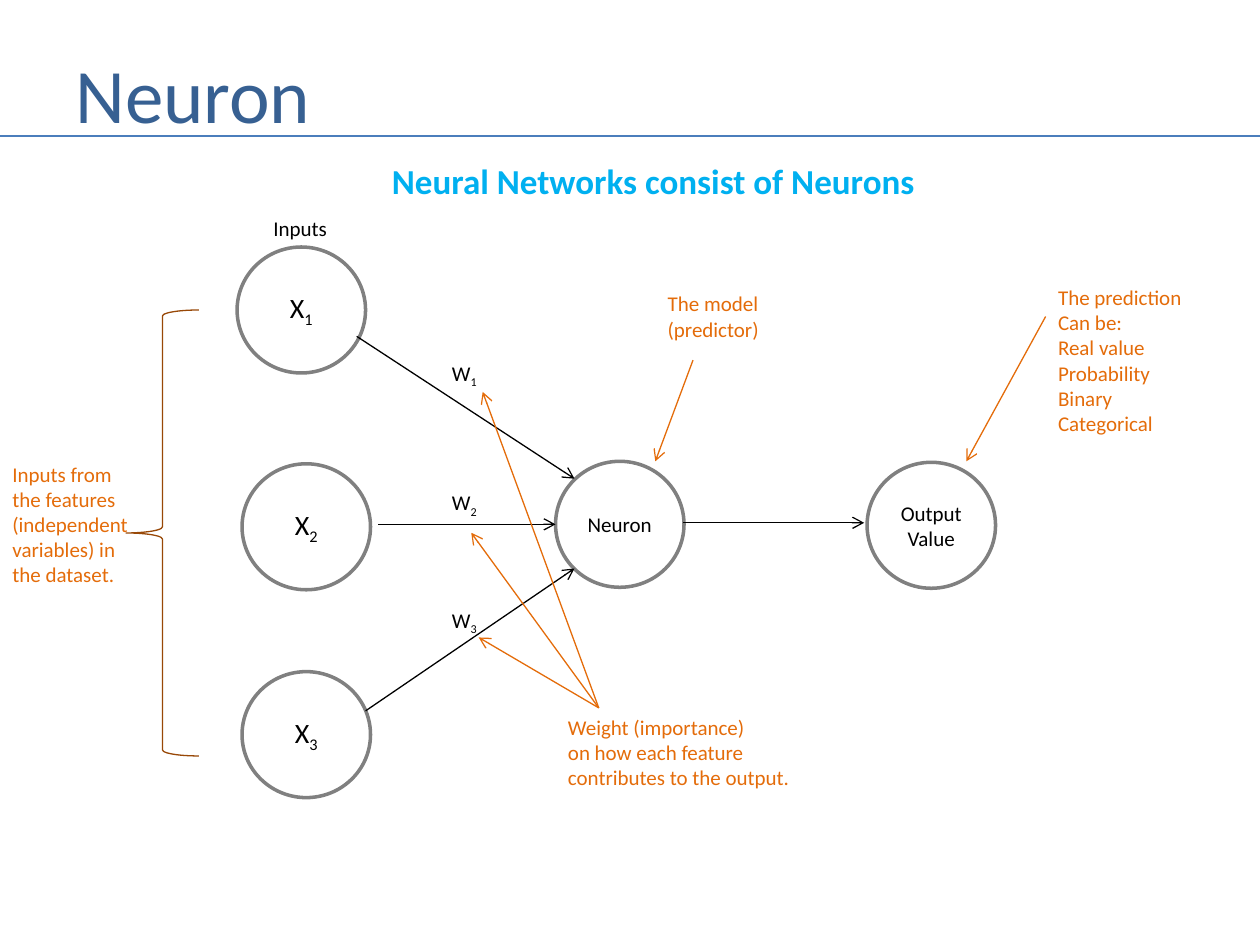
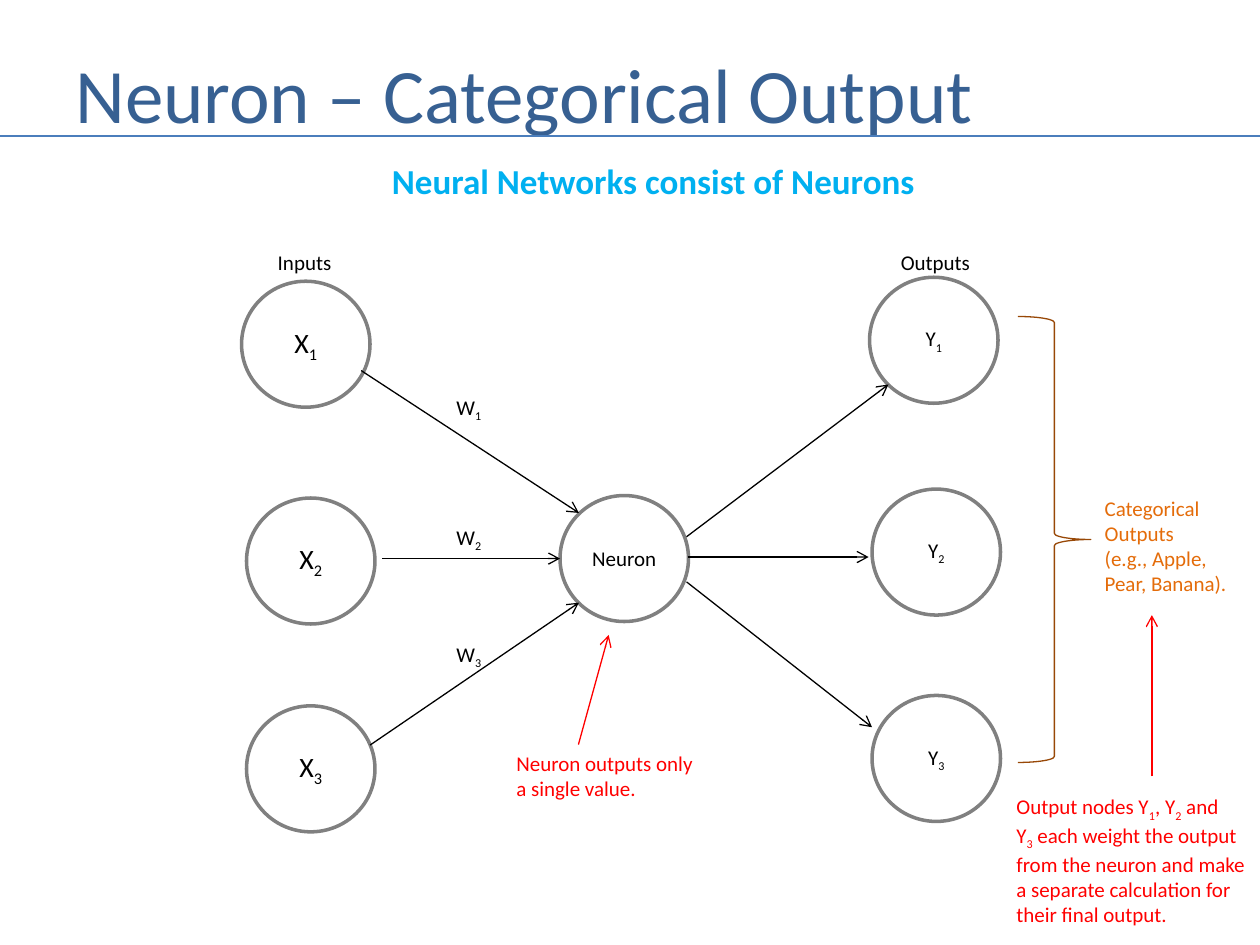
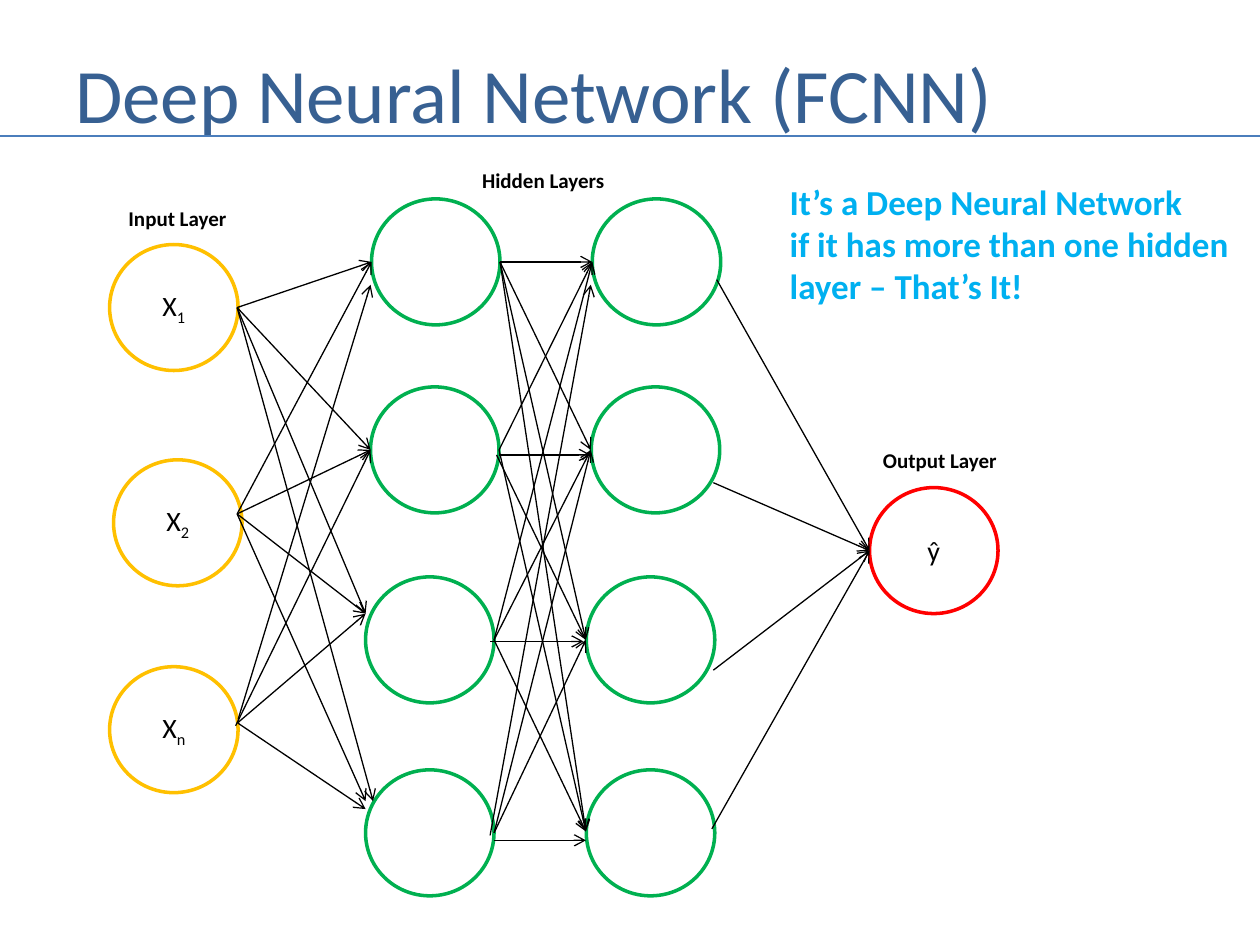
from itertools import product

from lxml import etree
from pptx import Presentation
from pptx import util as u
from pptx.dml.color import RGBColor
from pptx.enum import shapes, text
from pptx.oxml import ns

# ---- Content (positions in cm) ----
COLORS = dict(title="376092", rule="4B7EBC", heading="00B0F0", black="000000",
              white="FFFFFF", node="808080", brace="984807", note="E46C0A",
              alert="FF0000", input="FFC000", hidden="00B050")
STYLES = {
    "title": dict(size=44, color="title"),
    "heading": dict(size=20, color="heading", bold=True),
    "label": dict(size=12, color="black"),
    "layer": dict(size=12, color="black", bold=True),
    "symbol": dict(size=16, color="black"),
    "note": dict(size=12, color="note"),
    "alert": dict(size=12, color="alert"),
}
NODE_W, NODE_H = 2.59, 2.54
BRACE_W, BRACE_H = 1.47, 8.99

# Neuron with three weighted inputs, shared by the first two slides
# Nodes: x, y, text, text style; labels: x, y, width, text, style
NET_NODES = [(4.78, 4.98, "X_1", "symbol"), (4.88, 9.35, "X_2", "symbol"),
             (4.88, 13.54, "X_3", "symbol"), (11.2, 9.3, "Neuron", "label")]
NET_ARROWS = [((7.19, 6.78), (11.58, 9.65)), ((7.62, 10.57), (11.2, 10.57)),
              ((7.37, 14.33), (11.58, 11.46)), ((13.77, 10.54), (17.42, 10.54))]
NET_LABELS = [(5.26, 4.22, 1.6, "Inputs", "label"),
              (8.86, 7.14, 1.04, "W_1", "label"),
              (8.86, 9.75, 1.04, "W_2", "label"),
              (8.86, 12.12, 1.04, "W_3", "label")]
NET_HEADING = (7.65, 3.1, 11.15, "Neural Networks consist of Neurons", "heading")

NEURON_SLIDES = [
    dict(title="Neuron", shift=(0, 0),
         nodes=[(17.48, 9.32, "Output\nValue", "label")],
         brace=(2.54, 6.25, 0),
         labels=[
             (0, 9.17, 2.84, "Inputs from\nthe features\n(independent\n"
              "variables) in\nthe dataset.", "note"),
             (11.2, 14.27, 5.05, "Weight (importance)\non how each feature\n"
              "contributes to the output.", "note"),
             (13.21, 5.74, 2.36, "The model\n(predictor)", "note"),
             (21.08, 5.61, 3.02, "The prediction\nCan be:\nReal value\n"
              "Probability\nBinary\nCategorical", "note")],
         arrows=[((12.07, 14.27), (9.73, 7.9), "note"),
                 ((12.07, 14.27), (9.5, 10.74), "note"),
                 ((12.07, 14.27), (9.65, 12.85), "note"),
                 ((13.97, 7.26), (13.21, 9.3), "note"),
                 ((21.08, 6.38), (19.48, 9.3), "note")]),
    dict(title="Neuron – Categorical Output", shift=(0.09, 0.69),
         nodes=[(17.53, 5.59, "Y_1", "label"), (17.58, 9.86, "Y_2", "label"),
                (17.58, 14.02, "Y_3", "label")],
         brace=(20.52, 6.38, 180),
         labels=[
             (17.91, 4.9, 1.93, "Outputs", "label"),
             (22.02, 9.86, 3.0, "Categorical\nOutputs\n(e.g., Apple,\n"
              "Pear, Banana).", "note"),
             (10.16, 15.01, 4.09, "Neuron outputs only\na single value.", "alert"),
             (20.24, 15.88, 5.23, "Output nodes Y_1, Y_2 and\n"
              "Y_3 each weight the output\nfrom the neuron and make\n"
              "a separate calculation for\ntheir final output.", "alert")],
         arrows=[((13.84, 10.82), (17.91, 7.75), "black"),
                 ((13.84, 11.73), (17.58, 14.66), "black"),
                 ((11.66, 15.01), (12.27, 12.8), "alert"),
                 ((23.22, 15.65), (23.22, 12.4), "alert")]),
]

# Deep network: node positions per layer
DEEP_TITLE = "Deep Neural Network (FCNN)"
INPUTS = [(2.21, 4.93, "X_1"), (2.29, 9.27, "X_2"), (2.21, 13.44, "X_n")]
HIDDEN = [(7.49, 4.01), (7.47, 7.8), (7.37, 11.63), (7.37, 15.52)]
HIDDEN_GAP = 4.45
OUTPUT = (17.53, 9.83, "ŷ")
DEEP_LABELS = [
    (2.34, 4.01, 2.51, "Input Layer", "layer"),
    (9.47, 3.25, 3.0, "Hidden Layers", "layer"),
    (17.55, 8.89, 2.84, "Output Layer", "layer"),
    (15.67, 3.51, 9.45, "It’s a Deep Neural Network\n"
     "if it has more than one hidden\nlayer – That’s It!", "heading")]
# Full connections: starts, ends, and the edges that sit slightly apart
CONNECTIONS = [
    ([(4.78, 6.2), (4.78, 10.36), (4.78, 14.58)],
     [(7.49, 5.28), (7.47, 9.07), (7.37, 12.37), (7.37, 16.15)],
     {(0, 3): ((4.78, 6.2), (7.52, 16.15)),
      (2, 0): ((4.8, 14.5), (7.47, 5.74)),
      (2, 1): ((4.75, 14.63), (7.47, 9.07)),
      (2, 3): ((4.8, 14.58), (7.37, 16.31))}),
    ([(10.08, 5.28), (10.06, 9.07), (9.96, 12.9), (9.96, 16.79)],
     [(11.94, 5.28), (11.91, 9.07), (11.81, 12.9), (11.81, 16.76)],
     {(1, 1): ((10.06, 9.17), (11.91, 9.17)),
      (1, 2): ((10.01, 9.17), (11.81, 12.9)),
      (2, 2): ((9.88, 12.93), (11.76, 12.93)),
      (3, 0): ((9.88, 16.84), (11.91, 5.74)),
      (3, 3): ((9.96, 16.94), (11.81, 16.94))}),
    ([(14.45, 5.64), (14.38, 9.73), (14.38, 13.51), (14.35, 16.71)],
     [(17.53, 11.1)], {}),
]


# ---- Drawing helpers ----
def rgb(name):
    return RGBColor.from_string(COLORS[name])


def write(tf, content, style, align=None):
    """Fill a frame, one paragraph a line; _ makes the next letter a subscript."""
    fmt = dict(STYLES[style], name="Calibri")
    fmt["size"] = u.Pt(fmt["size"])
    color = fmt.pop("color")
    for i, line in enumerate(content.split("\n")):
        p = tf.paragraphs[0] if i == 0 else tf.add_paragraph()
        p.alignment = align
        first, *rest = line.split("_")
        pieces = [(first, False)]
        for part in rest:
            pieces += [(part[0], True), (part[1:], False)]
        for piece, subscript in pieces:
            if not piece:
                continue
            r = p.add_run()
            r.text = piece
            for key, value in fmt.items():
                setattr(r.font, key, value)
            r.font.color.rgb = rgb(color)
            if subscript:
                r.font._element.set("baseline", "-25000")


def add_label(s, x, y, w, content, style):
    lines = content.count("\n") + 1
    h = 0.26 + 0.0427 * STYLES[style]["size"] * lines
    tf = s.shapes.add_textbox(u.Cm(x), u.Cm(y), u.Cm(w), u.Cm(h)).text_frame
    tf.word_wrap = False
    tf.auto_size = text.MSO_AUTO_SIZE.SHAPE_TO_FIT_TEXT
    write(tf, content, style)


def add_node(s, x, y, content="", style="symbol", outline="node"):
    sp = s.shapes.add_shape(shapes.MSO_SHAPE.OVAL, u.Cm(x), u.Cm(y),
                            u.Cm(NODE_W), u.Cm(NODE_H))
    sp.shadow.inherit = False
    sp.fill.solid()
    sp.fill.fore_color.rgb = rgb("white")
    sp.line.color.rgb = rgb(outline)
    sp.line.width = u.Pt(2)
    tf = sp.text_frame
    for side in ("left", "right", "top", "bottom"):
        setattr(tf, "margin_" + side, 0)
    tf.vertical_anchor = text.MSO_ANCHOR.MIDDLE
    if content:
        write(tf, content, style, text.PP_ALIGN.CENTER)


def add_line(s, start, end, color="black", width=0.75, arrow=True):
    c = s.shapes.add_connector(shapes.MSO_CONNECTOR.STRAIGHT,
                               *(u.Cm(v) for v in (*start, *end)))
    c.line.color.rgb = rgb(color)
    c.line.width = u.Pt(width)
    if arrow:
        etree.SubElement(c.line._get_or_add_ln(), ns.qn("a:tailEnd"), type="arrow")
    etree.SubElement(c._element.spPr, ns.qn("a:effectLst"))


def add_brace(s, x, y, rotation):
    sp = s.shapes.add_shape(shapes.MSO_SHAPE.LEFT_BRACE, u.Cm(x), u.Cm(y),
                            u.Cm(BRACE_W), u.Cm(BRACE_H))
    sp.shadow.inherit = False
    sp.rotation = rotation
    sp.fill.background()
    sp.line.color.rgb = rgb("brace")
    sp.line.width = u.Pt(0.75)


def new_slide(prs, title):
    s = prs.slides.add_slide(prs.slide_layouts[6])
    tf = s.shapes.add_textbox(u.Cm(1.27), u.Cm(0.76), u.Cm(23.5), u.Cm(2.21)).text_frame
    tf.word_wrap = True
    tf.vertical_anchor = text.MSO_ANCHOR.MIDDLE
    write(tf, title, "title")
    add_line(s, (0, 2.74), (25.4, 2.74), "rule", 1.5, arrow=False)
    return s


# ---- Slides ----
def neuron_slide(prs, title, shift, nodes, brace, labels, arrows):
    dx, dy = shift
    s = new_slide(prs, title)
    add_label(s, *NET_HEADING)
    for x, y, *rest in NET_NODES:
        add_node(s, x + dx, y + dy, *rest)
    for node in nodes:
        add_node(s, *node)
    for ends in NET_ARROWS:
        add_line(s, *((x + dx, y + dy) for x, y in ends))
    add_brace(s, *brace)
    for x, y, *rest in NET_LABELS:
        add_label(s, x + dx, y + dy, *rest)
    for label in labels:
        add_label(s, *label)
    for arrow in arrows:
        add_line(s, *arrow)


def deep_slide(prs):
    s = new_slide(prs, DEEP_TITLE)
    for node in INPUTS:
        add_node(s, *node, outline="input")
    for column, (x, y) in product(range(2), HIDDEN):
        add_node(s, x + column * HIDDEN_GAP, y, outline="hidden")
    add_node(s, *OUTPUT, outline="alert")
    for starts, ends, apart in CONNECTIONS:
        for (i, start), (j, end) in product(enumerate(starts), enumerate(ends)):
            add_line(s, *apart.get((i, j), (start, end)))
    for label in DEEP_LABELS:
        add_label(s, *label)


def main():
    prs = Presentation()
    prs.slide_width, prs.slide_height = u.Cm(25.4), u.Cm(19.05)
    for content in NEURON_SLIDES:
        neuron_slide(prs, **content)
    deep_slide(prs)
    prs.save("out.pptx")


if __name__ == "__main__":
    main()
